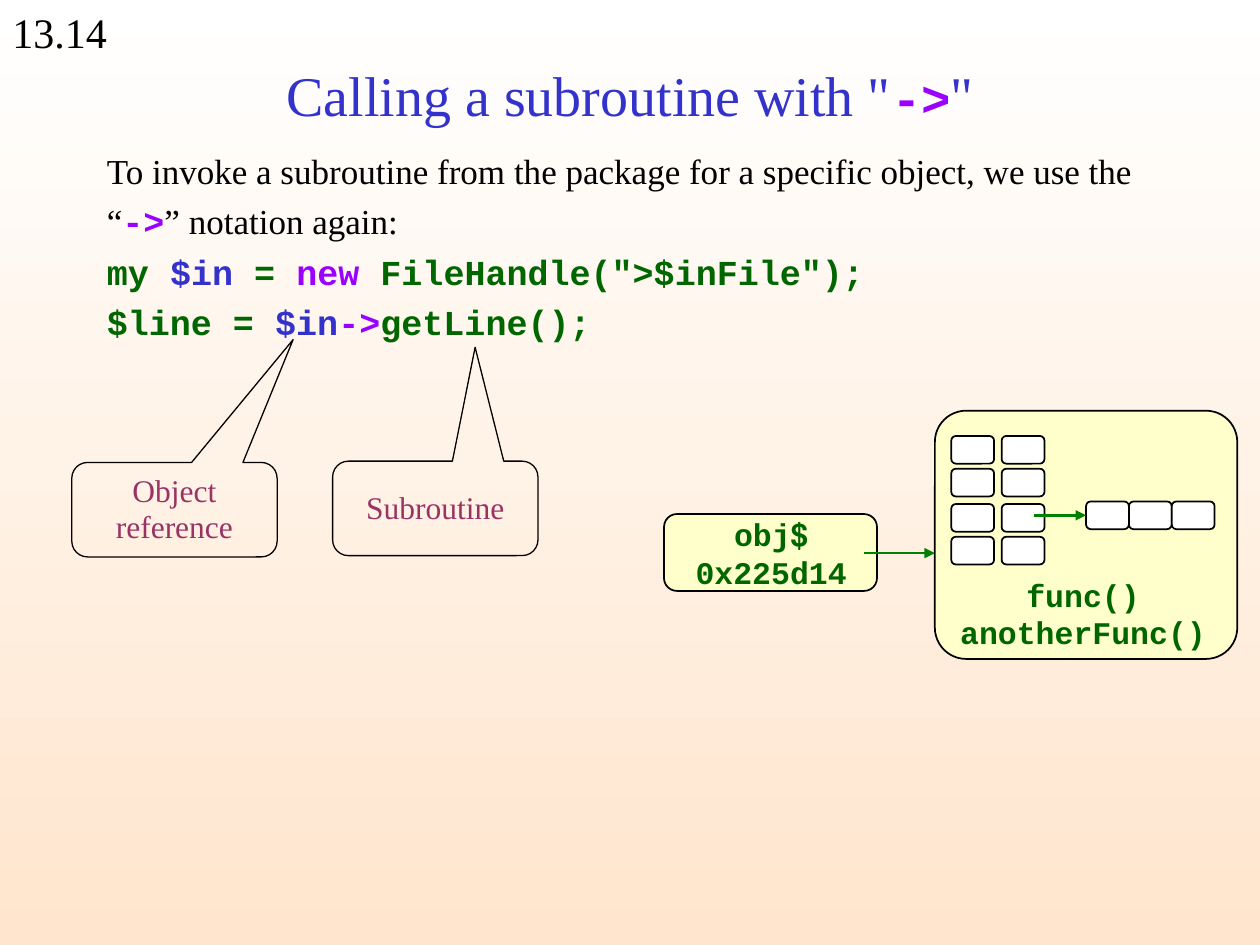
from dataclasses import dataclass

from lxml import etree
from pptx import Presentation
from pptx.dml.color import RGBColor
from pptx.enum.shapes import MSO_CONNECTOR, MSO_SHAPE
from pptx.enum.text import MSO_ANCHOR, MSO_AUTO_SIZE, PP_ALIGN
from pptx.oxml.ns import qn
from pptx.util import Inches, Pt


@dataclass(frozen=True)
class Theme:
    serif: str = "Times New Roman"
    mono: str = "Courier New"
    black: str = "000000"
    white: str = "FFFFFF"
    peach: str = "FFE5CD"
    cream: str = "FFFFCC"
    blue: str = "3333CC"
    purple: str = "9900FF"
    code_green: str = "006600"
    arrow_green: str = "008000"
    plum: str = "993366"
    title_size: int = 32
    title_code_size: int = 28
    number_size: int = 24
    body_size: int = 20
    label_size: int = 18


THEME = Theme()


def prose(text, color=THEME.black, size=THEME.body_size):
    return text, THEME.serif, color, size, False


def code(text, color=THEME.code_green, size=THEME.body_size):
    return text, THEME.mono, color, size, True


def add_run(paragraph, text, font_name, color, size, bold):
    """Add formatted text; a newline becomes a line break."""
    for index, line in enumerate(text.split("\n")):
        if index:
            paragraph.add_line_break()
        run = paragraph.add_run()
        run.text = line
        run.font.name = font_name
        run.font.size = Pt(size)
        run.font.bold = bold
        run.font.color.rgb = RGBColor.from_string(color)


def write_text(shape, paragraphs, align=PP_ALIGN.LEFT, anchor=MSO_ANCHOR.TOP,
               line_spacing=None, right_to_left=False, grow=False):
    """Fill a shape with paragraphs, each a list of prose() and code() runs."""
    frame = shape.text_frame
    frame.word_wrap = True
    frame.vertical_anchor = anchor
    frame.auto_size = MSO_AUTO_SIZE.SHAPE_TO_FIT_TEXT if grow else MSO_AUTO_SIZE.NONE
    for index, runs in enumerate(paragraphs):
        paragraph = frame.add_paragraph() if index else frame.paragraphs[0]
        paragraph.alignment = align
        if line_spacing:
            paragraph.line_spacing = line_spacing
        if right_to_left:
            paragraph._p.get_or_add_pPr().set("rtl", "1")
        for run in runs:
            add_run(paragraph, *run)


def add_text(slide, left, top, width, height, paragraphs, **text_format):
    box = slide.shapes.add_textbox(Inches(left), Inches(top), Inches(width), Inches(height))
    write_text(box, paragraphs, **text_format)


def add_box(slide, left, top, width, height, fill=None, line_width=1.0,
            preset=MSO_SHAPE.ROUNDED_RECTANGLE, adjustments=(0.167,)):
    shape = slide.shapes.add_shape(
        preset, Inches(left), Inches(top), Inches(width), Inches(height))
    shape.shadow.inherit = False
    for index, value in enumerate(adjustments):
        shape.adjustments[index] = value
    if fill:
        shape.fill.solid()
        shape.fill.fore_color.rgb = RGBColor.from_string(fill)
    else:
        shape.fill.background()
    shape.line.color.rgb = RGBColor.from_string(THEME.black)
    shape.line.width = Pt(line_width)
    return shape


def add_cell(slide, left, top):
    return add_box(slide, left, top, 0.34, 0.22, THEME.white)


def add_callout(slide, left, top, lines, pointer):
    callout = add_box(slide, left, top, 1.63, 0.75, line_width=0.75,
                      preset=MSO_SHAPE.ROUNDED_RECTANGULAR_CALLOUT,
                      adjustments=(*pointer, 0.167))
    write_text(callout, [[prose(line, THEME.plum, THEME.label_size)] for line in lines],
               align=PP_ALIGN.CENTER, anchor=MSO_ANCHOR.MIDDLE,
               line_spacing=0.97, right_to_left=True)


def add_arrow(slide, left, right, y):
    arrow = slide.shapes.add_connector(
        MSO_CONNECTOR.STRAIGHT, Inches(left), Inches(y), Inches(right), Inches(y))
    arrow.line.color.rgb = RGBColor.from_string(THEME.arrow_green)
    arrow.line.width = Pt(1.5)
    etree.SubElement(arrow.line._get_or_add_ln(), qn("a:tailEnd"), type="triangle")
    etree.SubElement(arrow._element.spPr, qn("a:effectLst"))
    return arrow


def set_background(slide):
    fill = slide.background.fill
    fill.gradient()
    fill.gradient_angle = 270
    for stop, color in zip(fill.gradient_stops, (THEME.white, THEME.peach)):
        stop.color.rgb = RGBColor.from_string(color)


def add_title(slide):
    title = slide.shapes.title
    title.left, title.top = Inches(0.75), Inches(0.42)
    title.width, title.height = Inches(8.5), Inches(0.66)
    write_text(title, [[
        prose('Calling a subroutine with "', THEME.blue, THEME.title_size),
        code("->", THEME.purple, THEME.title_code_size),
        prose('"', THEME.blue, THEME.title_size),
    ]], align=PP_ALIGN.CENTER, anchor=MSO_ANCHOR.MIDDLE)


def add_explanation(slide):
    add_text(slide, 0.75, 1.07, 8.9, 4.06, [
        [prose("To invoke a subroutine from the package for a specific object, "
               "we use the\n“"),
         code("->", THEME.purple), prose("” notation again:")],
        [code("my "), code("$in", THEME.blue), code(" = "), code("new", THEME.purple),
         code(' FileHandle(">$inFile");')],
        [code("$line = "), code("$in", THEME.blue), code("->", THEME.purple),
         code("getLine();")],
    ], line_spacing=1.2)


def add_object_diagram(slide):
    """Draw a reference pointing at an object with its data and functions."""
    label_format = {"align": PP_ALIGN.CENTER, "grow": True}
    add_box(slide, 5.27, 4.08, 1.69, 0.61, THEME.cream)
    add_text(slide, 4.86, 4.04, 2.52, 0.7,
             [[code("$obj\n0x225d14", size=THEME.label_size)]],
             right_to_left=True, **label_format)
    add_box(slide, 7.42, 3.26, 2.4, 1.97, THEME.cream, adjustments=(0.126,))
    add_arrow(slide, 6.86, 7.42, 4.39)
    add_text(slide, 7.42, 4.52, 2.35, 0.7,
             [[code("func()\nanotherFunc()", size=THEME.label_size)]], **label_format)

    for top in (3.46, 3.72, 4.0, 4.26):
        for left in (7.55, 7.95):
            add_cell(slide, left, top)
    array_cells = [add_cell(slide, 8.62 + 0.34 * index, 3.98) for index in range(3)]
    add_arrow(slide, 8.21, 8.62, 4.09).end_connect(array_cells[0], 1)


def main():
    presentation = Presentation()
    presentation.slide_width, presentation.slide_height = Inches(10), Inches(7.5)
    slide = presentation.slides.add_slide(presentation.slide_layouts[5])
    set_background(slide)
    add_text(slide, 0, 0, 1.46, 0.5, [[prose("13.14", size=THEME.number_size)]], grow=True)
    add_explanation(slide)
    add_title(slide)
    add_object_diagram(slide)
    add_callout(slide, 0.57, 3.67, ["Object", "reference"], (0.578, -1.8))
    add_callout(slide, 2.64, 3.66, ["Subroutine"], (0.194, -1.705))
    presentation.save("out.pptx")


if __name__ == "__main__":
    main()
